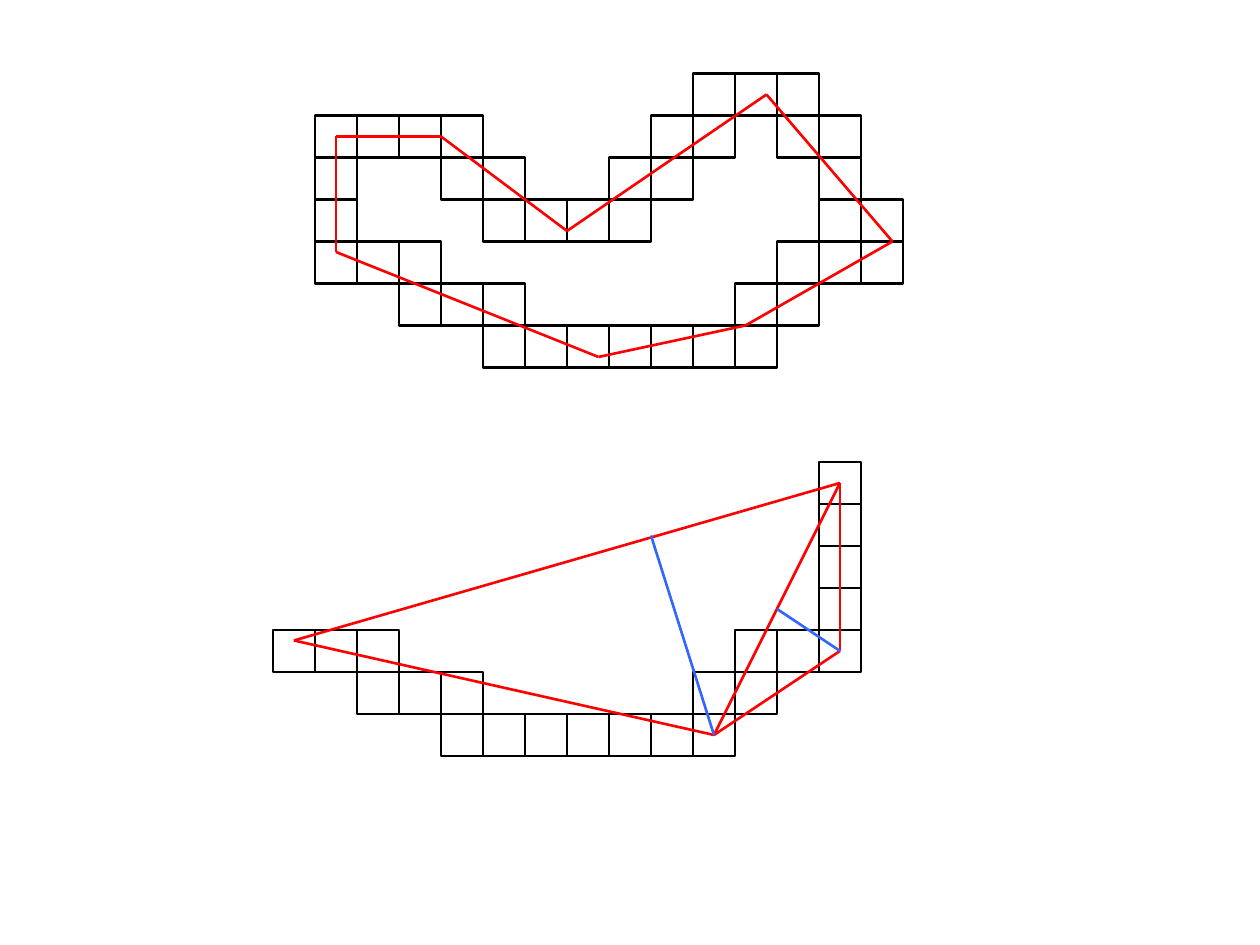
from lxml import etree
from pptx import Presentation
from pptx.dml.color import RGBColor
from pptx.enum.shapes import MSO_CONNECTOR, MSO_SHAPE
from pptx.oxml.ns import qn
from pptx.util import Inches, Pt

RECT = MSO_SHAPE.RECTANGLE
STRAIGHT = MSO_CONNECTOR.STRAIGHT

BLACK, RED, BLUE = "000000", "FF0000", "3366FF"
CELL = 1 / 3  # side of a grid cell, inches

# Each "#" is a traced cell; paths are points in cell units from the origin
LEFT, TOP, LOW, RIGHT = (0.5, 4.25), (13.5, 0.5), (10.5, 6.5), (13.5, 4.5)
FIGURES = [
    {
        "origin": (2.5, 7 / 12),
        "cells": [
            ".........###..",
            "####....##.##.",
            "#..##..##...#.",
            "#...####....##",
            "###........###",
            "..###.....##..",
            "....#######...",
        ],
        "paths": [
            (RED, [(0.5, 4.25), (0.5, 1.5), (3, 1.5), (6, 3.75), (10.75, 0.5),
                   (13.75, 4), (10.25, 6), (6.75, 6.75), (0.5, 4.25)]),
        ],
    },
    {
        "origin": (13 / 6, 11 / 3),
        "cells": [
            ".............#",
            ".............#",
            ".............#",
            ".............#",
            "###........###",
            "..###.....##..",
            "....#######...",
        ],
        "paths": [
            (RED, [TOP, LEFT, LOW, TOP, RIGHT, LOW]),
            (BLUE, [(9, 1.75), LOW]),
            (BLUE, [(12, 3.5), RIGHT]),
        ],
    },
]


def ink(line, color):
    line.color.rgb = RGBColor.from_string(color)
    line.width = Pt(1.5)


def place(origin, point):
    return [Inches(o + p * CELL) for o, p in zip(origin, point)]


def add_cell(shapes, origin, point):
    box = shapes.add_shape(RECT, *place(origin, point), Inches(CELL), Inches(CELL))
    box.shadow.inherit = False
    box.fill.background()
    ink(box.line, BLACK)


def add_edge(shapes, origin, start, end, color):
    edge = shapes.add_connector(STRAIGHT, *place(origin, start), *place(origin, end))
    ink(edge.line, color)
    etree.SubElement(edge._element.spPr, qn("a:effectLst"))


def main():
    deck = Presentation()
    deck.slide_width, deck.slide_height = Inches(10), Inches(7.5)
    shapes = deck.slides.add_slide(deck.slide_layouts[6]).shapes

    for fig in FIGURES:
        origin = fig["origin"]
        # Traced grid cells
        for row, marks in enumerate(fig["cells"]):
            for col, mark in enumerate(marks):
                if mark == "#":
                    add_cell(shapes, origin, (col, row))
        # Fitted segments and distances
        for color, points in fig["paths"]:
            for start, end in zip(points, points[1:]):
                add_edge(shapes, origin, start, end, color)

    deck.save("out.pptx")


if __name__ == "__main__":
    main()
